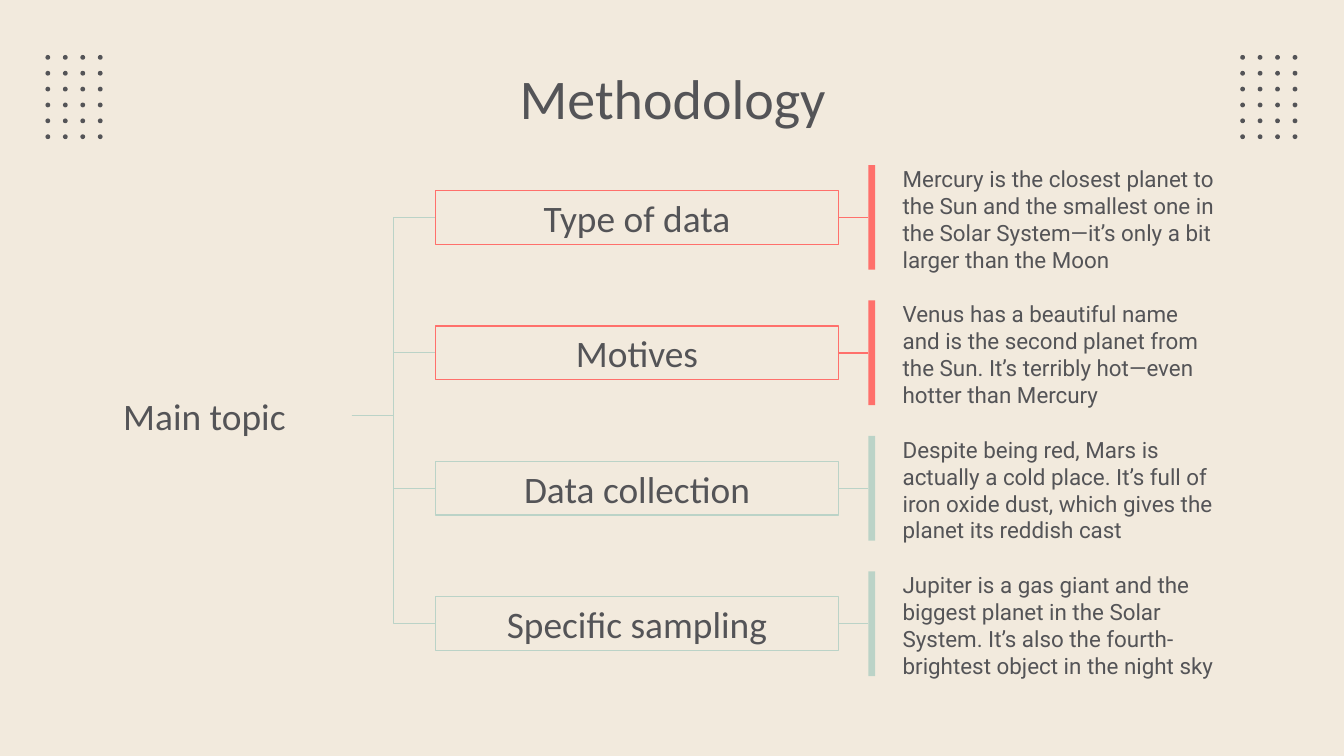
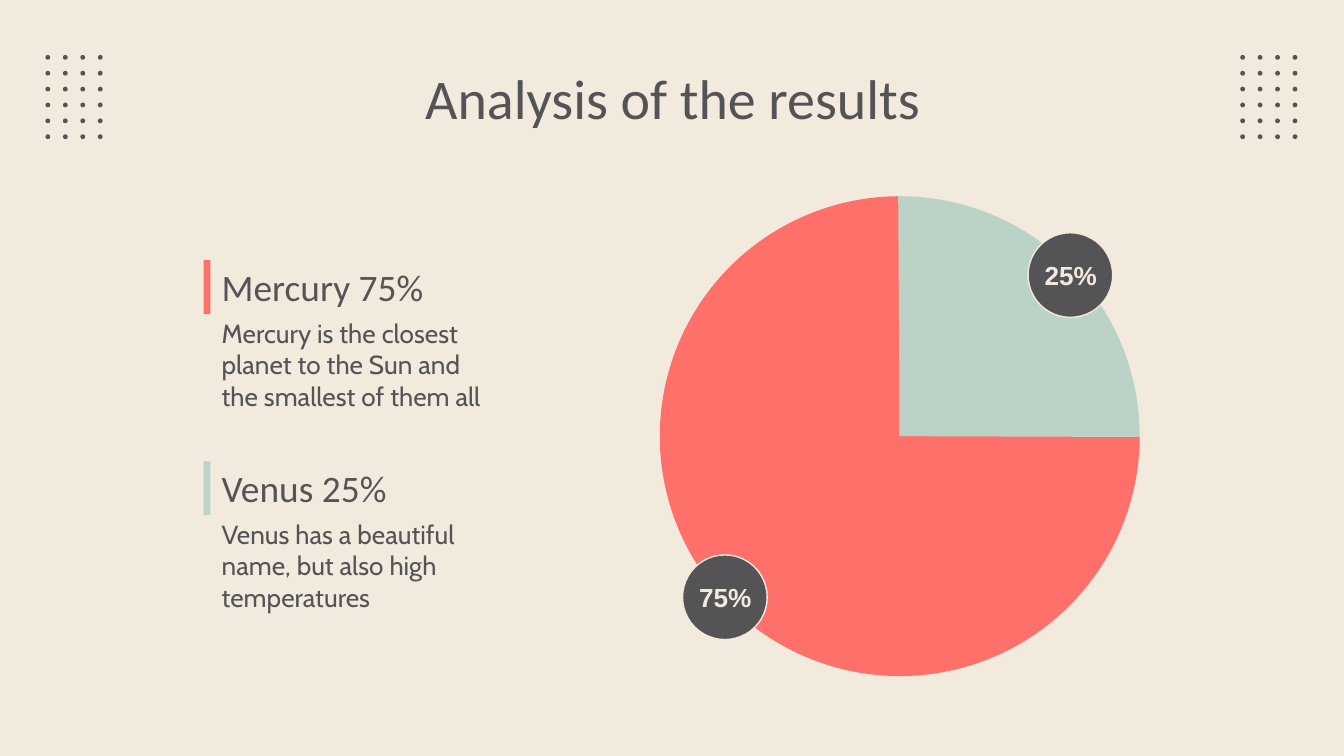
import lxml.etree
import pptx
import pptx.dml.color
import pptx.enum.shapes
import pptx.enum.text
import pptx.oxml.ns
import pptx.util

Cm = pptx.util.Cm
Pt = pptx.util.Pt
Kind = pptx.enum.shapes.MSO_SHAPE
Link = pptx.enum.shapes.MSO_CONNECTOR
Align = pptx.enum.text.PP_ALIGN
Anchor = pptx.enum.text.MSO_ANCHOR
RGBColor = pptx.dml.color.RGBColor

SAND = RGBColor(0xF2, 0xEA, 0xDD)
GREY = RGBColor(0x54, 0x54, 0x57)
CORAL = RGBColor(0xFF, 0x70, 0x6B)
SAGE = RGBColor(0xBB, 0xD3, 0xC7)

# Connection sites of a rectangle
LEFT, RIGHT = 1, 3

# Text styles
TITLE = dict(name="Calibri", size=Pt(30))
HEAD = dict(name="Calibri", size=Pt(20))
BODY = dict(name="Roboto", size=Pt(12))
NOTE = dict(name="Cabin", size=Pt(14))
BADGE = dict(name="Arial", size=Pt(14), bold=True)


def assign(obj, vals):
    for key, val in vals.items():
        setattr(obj, key, val)


class Deck:
    def __init__(self):
        self.file = pptx.Presentation()
        assign(self.file, dict(slide_width=Cm(25.4), slide_height=Cm(14.29)))

    def page(self, title):
        """Start a slide with its ground, dot grids and title."""
        self.slide = self.file.slides.add_slide(self.file.slide_layouts[6])
        ground = self.slide.background.fill
        ground.solid()
        ground.fore_color.rgb = SAND
        for left in (0.86, 23.44):
            self.dots(left, 1.04)
        self.text((2.01, 1.02, 21.41, 1.6), title, TITLE, align=Align.CENTER,
                  pad=(0.25, 0.18, 0.25, 0.25))

    def dots(self, left, top):
        group = self.slide.shapes.add_group_shape()
        for row in range(6):
            for col in range(4):
                self.shape((left + col * 0.33, top + row * 0.3, 0.09, 0.09),
                           Kind.OVAL, fill=GREY, home=group.shapes)

    def shape(self, area, kind=Kind.RECTANGLE, fill=None, line=None, home=None):
        home = home or self.slide.shapes
        shape = home.add_shape(kind, *map(Cm, area))
        shape.shadow.inherit = False
        if fill:
            shape.fill.solid()
            shape.fill.fore_color.rgb = fill
        else:
            shape.fill.background()
        if line:
            shape.line.color.rgb = line
            shape.line.width = Pt(0.75)
        else:
            shape.line.fill.background()
        return shape

    def label(self, shape, words, font, color=GREY, align=Align.LEFT,
              anchor=Anchor.TOP, pad=(0, 0, 0, 0), after=0):
        frame = shape.text_frame
        sides = ("margin_left", "margin_top", "margin_right", "margin_bottom")
        assign(frame, dict(zip(sides, map(Cm, pad))))
        assign(frame, dict(word_wrap=True, vertical_anchor=anchor))
        para = frame.paragraphs[0]
        para.alignment = align
        if after:
            para.space_after = Pt(after)
        run = para.add_run()
        run.text = words
        assign(run.font, font)
        run.font.color.rgb = color

    def text(self, area, words, font, **style):
        box = self.slide.shapes.add_textbox(*map(Cm, area))
        self.label(box, words, font, **style)
        return box

    def join(self, start, end, color, kind=Link.STRAIGHT):
        """Link the right side of one shape to the left side of another."""
        line = self.slide.shapes.add_connector(kind, 0, 0, 0, 0)
        line.begin_connect(start, RIGHT)
        line.end_connect(end, LEFT)
        line.line.color.rgb = color
        line.line.width = Pt(0.75)
        lxml.etree.SubElement(line.element.spPr, pptx.oxml.ns.qn("a:effectLst"))

    def pie(self, area, start, end, color):
        """Draw a pie wedge; angles are clockwise degrees from the right."""
        wedge = self.shape(area, Kind.PIE, fill=color)
        for spot, angle in enumerate((start, end)):
            wedge.adjustments[spot] = angle * 0.6

    def badge(self, left, top, words):
        disc = self.shape((left, top, 1.6, 1.6), Kind.OVAL, GREY, SAND)
        self.label(disc, words, BADGE, SAND, anchor=Anchor.MIDDLE,
                   pad=(0.08, 0, 0, 0))


def method(deck):
    deck.page("Methodology")
    rows = [
        ("Type of data", CORAL, 0,
         "Mercury is the closest planet to the Sun and the smallest one in "
         "the Solar System—it’s only a bit larger than the Moon"),
        ("Motives", CORAL, 0.51,
         "Venus has a beautiful name and is the second planet from the Sun. "
         "It’s terribly hot—even hotter than Mercury"),
        ("Data collection", SAGE, 0,
         "Despite being red, Mars is actually a cold place. It’s full of "
         "iron oxide dust, which gives the planet its reddish cast"),
        ("Specific sampling", SAGE, 0,
         "Jupiter is a gas giant and the biggest planet in the Solar System. "
         "It’s also the fourth-brightest object in the night sky"),
    ]
    frame = dict(anchor=Anchor.MIDDLE, pad=(0.25,) * 4)
    topic = deck.text((2.08, 7.19, 4.57, 1.32), "Main topic", HEAD, **frame)

    # One branch per row: box, bar, text and links
    for row, (name, color, inset, words) in enumerate(rows):
        top = 3.12 + row * 2.56
        deck.text((17.06, top, 6.35, 1.98), words, BODY, pad=(0, 0, inset, 0))
        box = deck.shape((8.23, top + 0.48, 7.62, 1.02), line=color)
        deck.label(box, name, HEAD, align=Align.CENTER, **frame)
        bar = deck.shape((16.41, top, 0.13, 1.98), fill=color)
        deck.join(topic, box, SAGE, Link.ELBOW)
        deck.join(box, bar, color)


def results(deck):
    deck.page("Analysis of the results")

    # Legend
    items = [
        ("Mercury 75%", CORAL,
         "Mercury is the closest planet to the Sun and the smallest of them all"),
        ("Venus 25%", SAGE,
         "Venus has a beautiful name, but also high temperatures"),
    ]
    for row, (name, color, words) in enumerate(items):
        top = 4.92 + row * 3.8
        deck.shape((3.85, top, 0.13, 1.02), fill=color)
        deck.text((4.19, top + 0.12, 5.31, 0.76), name, HEAD,
                  anchor=Anchor.MIDDLE)
        deck.text((4.19, top + 1.08, 5.31, 1.78), words, NOTE, after=16)

    # Pie with its badges
    area = (12.47, 3.71, 9.07, 9.07)
    deck.pie(area, 0, 270, CORAL)
    deck.pie(area, 269.64, 0.2, SAGE)
    deck.badge(12.9, 10.49, "75%")
    deck.badge(19.43, 4.4, "25%")


def main():
    deck = Deck()
    method(deck)
    results(deck)
    deck.file.save("out.pptx")


if __name__ == "__main__":
    main()
